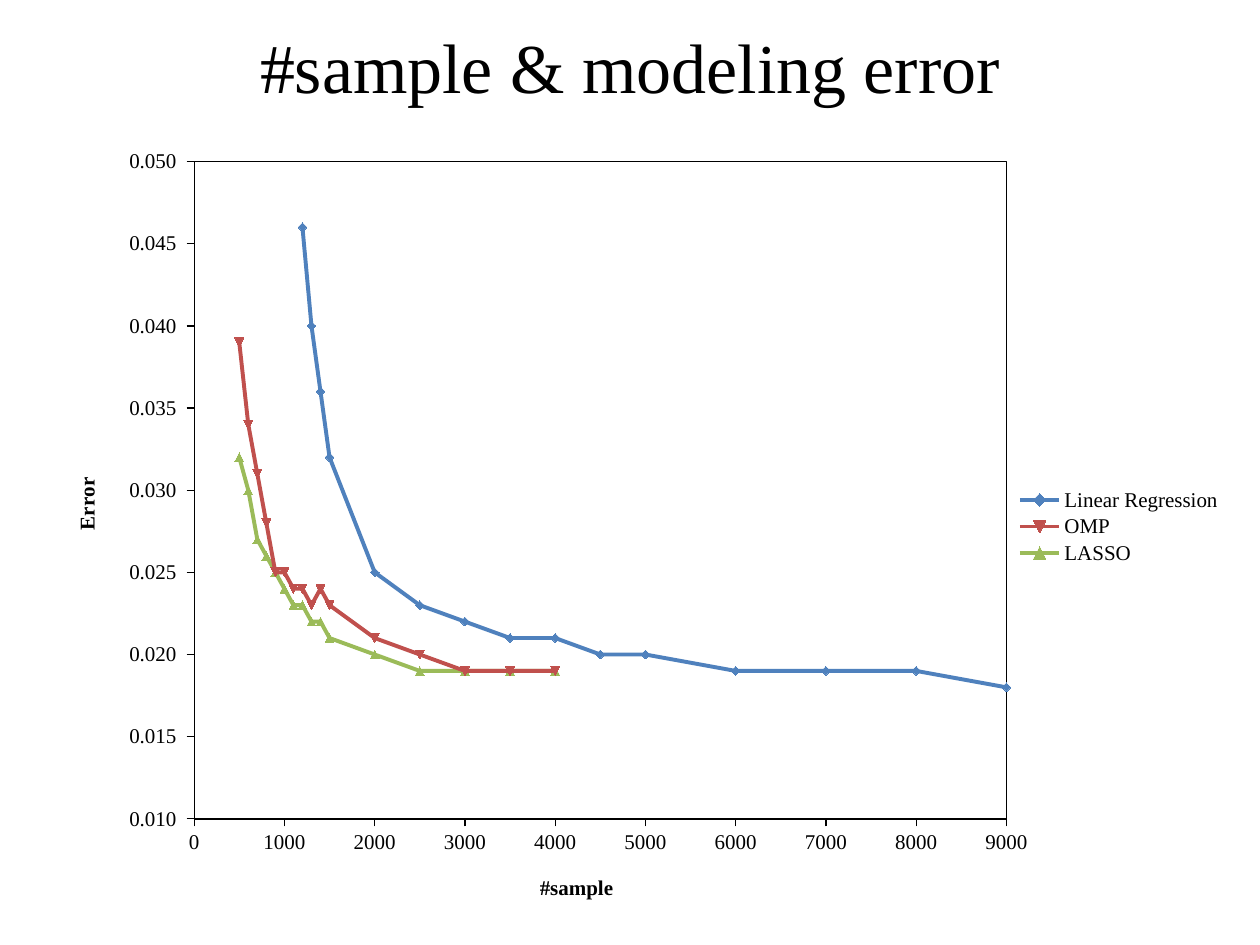
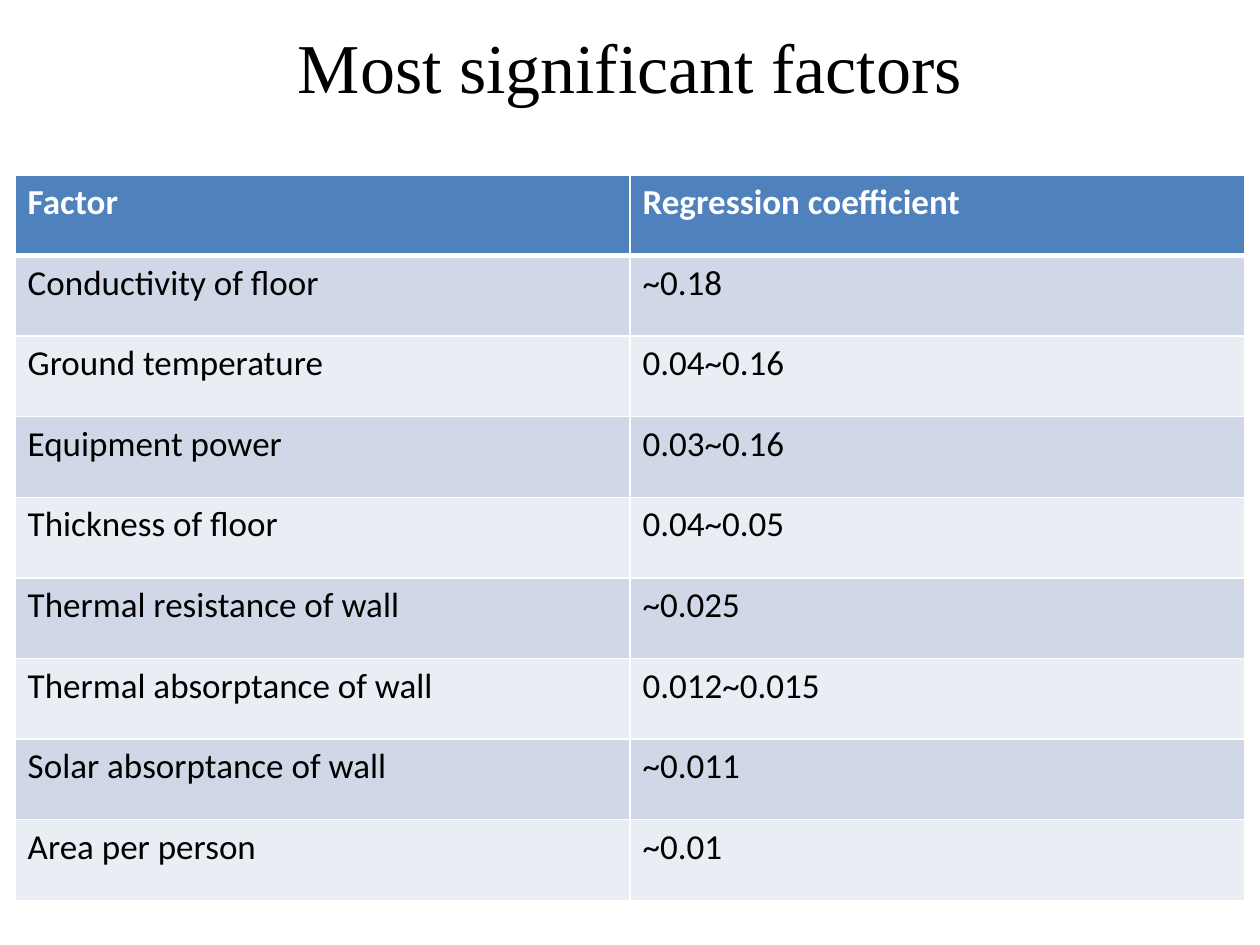
from lxml.etree import SubElement
from pptx import Presentation
from pptx.chart.data import XyChartData
from pptx.dml.color import RGBColor
from pptx.enum.chart import XL_CHART_TYPE, XL_LEGEND_POSITION, XL_MARKER_STYLE, XL_TICK_MARK
from pptx.enum.text import MSO_ANCHOR, PP_ALIGN
from pptx.oxml import parse_xml
from pptx.oxml.ns import nsdecls, qn
from pptx.util import Inches, Pt

WIDTH, HEIGHT = Inches(10), Inches(7.5)
MARGIN = 0.012
SPAN = 1 - 2 * MARGIN
SERIF, SANS = "Times New Roman", "Calibri"
BLACK, WHITE, BLUE, RED, GREEN = "000000", "FFFFFF", "4F81BD", "C0504D", "9BBB59"
BANDS = ("D0D8E8", "E9EDF4")

SAMPLES = [*range(500, 1500, 100), *range(1500, 5000, 500), *range(5000, 9001, 1000)]
ERRORS = [
    ("Linear Regression", BLUE,
     [None] * 7 + [0.046, 0.04, 0.036, 0.032, 0.025, 0.023, 0.022, 0.021, 0.021,
                   0.02, 0.02, 0.019, 0.019, 0.019, 0.018]),
    ("OMP", RED,
     [0.039, 0.034, 0.031, 0.028, 0.025, 0.025, 0.024, 0.024, 0.023, 0.024,
      0.023, 0.021, 0.02, 0.019, 0.019, 0.019] + [None] * 6),
    ("LASSO", GREEN,
     [0.032, 0.03, 0.027, 0.026, 0.025, 0.024, 0.023, 0.023, 0.022, 0.022,
      0.021, 0.02, 0.019, 0.019, 0.019, 0.019] + [None] * 6),
]
FACTORS = [
    ("Factor", "Regression coefficient"),
    ("Conductivity of floor", "~0.18"),
    ("Ground temperature", "0.04~0.16"),
    ("Equipment power", "0.03~0.16"),
    ("Thickness of floor", "0.04~0.05"),
    ("Thermal resistance of wall", "~0.025"),
    ("Thermal absorptance of wall", "0.012~0.015"),
    ("Solar absorptance of wall", "~0.011"),
    ("Area per person", "~0.01"),
]


def rgb(value):
    """Turn a hex string into a colour."""
    return RGBColor.from_string(value)


def box(x, y, w, h):
    """Turn shares of the slide into lengths."""
    return int(x * WIDTH), int(y * HEIGHT), int(w * WIDTH), int(h * HEIGHT)


def style(font, name, size, color=BLACK, bold=False):
    """Set the look of a font."""
    font.name, font.size, font.bold = name, Pt(size), bold
    font.color.rgb = rgb(color)


def add_title(slide, text, area):
    """Place the centred slide title."""
    tf = slide.shapes.add_textbox(*area).text_frame
    tf.word_wrap = True
    tf.vertical_anchor = MSO_ANCHOR.MIDDLE
    tf.text = text
    p = tf.paragraphs[0]
    p.alignment = PP_ALIGN.CENTER
    style(p.runs[0].font, SERIF, 40)


def set_layout(parent, index, target=None, **shares):
    """Fix the place of a chart part in shares of the chart."""
    for old in parent.findall(qn("c:layout")):
        parent.remove(old)
    layout = parse_xml(f"<c:layout {nsdecls('c')}><c:manualLayout/></c:layout>")
    parent.insert(index, layout)
    values = {"layoutTarget": target} if target else {}
    values.update({f"{key}Mode": "edge" for key in "xy"})
    values.update(shares)
    for key, value in values.items():
        SubElement(layout[0], qn(f"c:{key}")).set("val", str(value))


def style_axis(axis, title, low, high, step, number_format, place):
    """Set the scale, line, labels and title of an axis."""
    axis.minimum_scale, axis.maximum_scale, axis.major_unit = low, high, step
    axis.has_major_gridlines = False
    axis.major_tick_mark, axis.minor_tick_mark = XL_TICK_MARK.OUTSIDE, XL_TICK_MARK.NONE
    axis.format.line.color.rgb = rgb(BLACK)
    axis.format.line.width = Pt(0.75)
    labels = axis.tick_labels
    labels.number_format, labels.number_format_is_linked = number_format, False
    style(labels.font, SERIF, 12)
    tf = axis.axis_title.text_frame
    tf.text = title
    style(tf.paragraphs[0].runs[0].font, SERIF, 12, bold=True)
    x, y = place
    set_layout(tf._txBody.getparent().getparent(), 1, x=x, y=y)


def style_series(series, color):
    """Draw a series as a straight line with markers in one colour."""
    series.smooth = False
    series.format.line.color.rgb = rgb(color)
    series.format.line.width = Pt(2.25)
    marker = series.marker
    marker.style, marker.size = XL_MARKER_STYLE.AUTOMATIC, 5
    marker.format.fill.solid()
    marker.format.fill.fore_color.rgb = rgb(color)
    marker.format.line.color.rgb = rgb(color)


def clear_gaps(series, errors):
    """Leave the points without a value empty."""
    for pt in list(series._element.find(qn("c:yVal")).iter(qn("c:pt"))):
        if errors[int(pt.get("idx"))] is None:
            pt.getparent().remove(pt)


def add_error_chart(slide, area):
    """Place the scatter chart of error against sample count."""
    data = XyChartData()
    for name, _, errors in ERRORS:
        series = data.add_series(name)
        for count, error in zip(SAMPLES, errors):
            series.add_data_point(count, error)
    chart = slide.shapes.add_chart(XL_CHART_TYPE.XY_SCATTER_LINES, *area, data).chart
    chart.has_title = False
    style(chart.font, SERIF, 12)
    plot = chart.plots[0]
    plot.vary_by_categories = False
    for series, (_, color, errors) in zip(plot.series, ERRORS):
        style_series(series, color)
        clear_gaps(series, errors)
    style_axis(chart.category_axis, "#sample", 0, 9000, 1000, "General", (0.403, 0.95))
    style_axis(chart.value_axis, "Error", 0.01, 0.05, 0.005,
               r"#,##0.000_);[Red]\(#,##0.000\)", (0.005, 0.43))
    chart.has_legend = True
    legend = chart.legend
    legend.position, legend.include_in_layout = XL_LEGEND_POSITION.RIGHT, False
    style(legend.font, SERIF, 12)
    set_layout(legend._element, 1, x=0.811, y=0.444, w=0.18, h=0.11)
    plot_area = chart._chartSpace.chart.plotArea
    set_layout(plot_area, 0, "inner", x=0.111, y=0.021, w=0.694, h=0.861)
    plot_area.append(parse_xml(
        f"<c:spPr {nsdecls('c', 'a')}><a:noFill/><a:ln w='{Pt(0.75)}'><a:solidFill>"
        f"<a:srgbClr val='{BLACK}'/></a:solidFill></a:ln></c:spPr>"))


def set_borders(cell, top, bottom):
    """Draw white borders around a cell, with widths in points."""
    for side, width in {"L": 1, "R": 1, "T": top, "B": bottom}.items():
        cell._tc.get_or_add_tcPr().append(parse_xml(
            f"<a:ln{side} {nsdecls('a')} w='{Pt(width)}'><a:solidFill>"
            f"<a:srgbClr val='{WHITE}'/></a:solidFill></a:ln{side}>"))


def add_factor_table(slide, area):
    """Place the banded table of factors."""
    rows, cols = len(FACTORS), len(FACTORS[0])
    table = slide.shapes.add_table(rows, cols, *area).table
    for i, row in enumerate(FACTORS):
        head = i == 0
        for j, text in enumerate(row):
            cell = table.cell(i, j)
            set_borders(cell, 3 if i == 1 else 1, 3 if head else 1)
            cell.fill.solid()
            cell.fill.fore_color.rgb = rgb(BLUE if head else BANDS[(i - 1) % 2])
            cell.text = text
            style(cell.text_frame.paragraphs[0].runs[0].font, SANS, 20,
                  WHITE if head else BLACK, head)


def add_slide(prs, title, add_body, area):
    """Add a slide with a title and one body region."""
    slide = prs.slides.add_slide(prs.slide_layouts[6])
    add_title(slide, title, box(MARGIN, 0.017, SPAN, 0.105))
    add_body(slide, box(*area))


def main():
    """Build and save the slides."""
    prs = Presentation()
    prs.slide_width, prs.slide_height = WIDTH, HEIGHT
    add_slide(prs, "#sample & modeling error", add_error_chart, (0.051, 0.154, 0.929, 0.808))
    add_slide(prs, "Most significant factors", add_factor_table, (MARGIN, 0.185, SPAN, 0.768))
    prs.save("out.pptx")


main()
